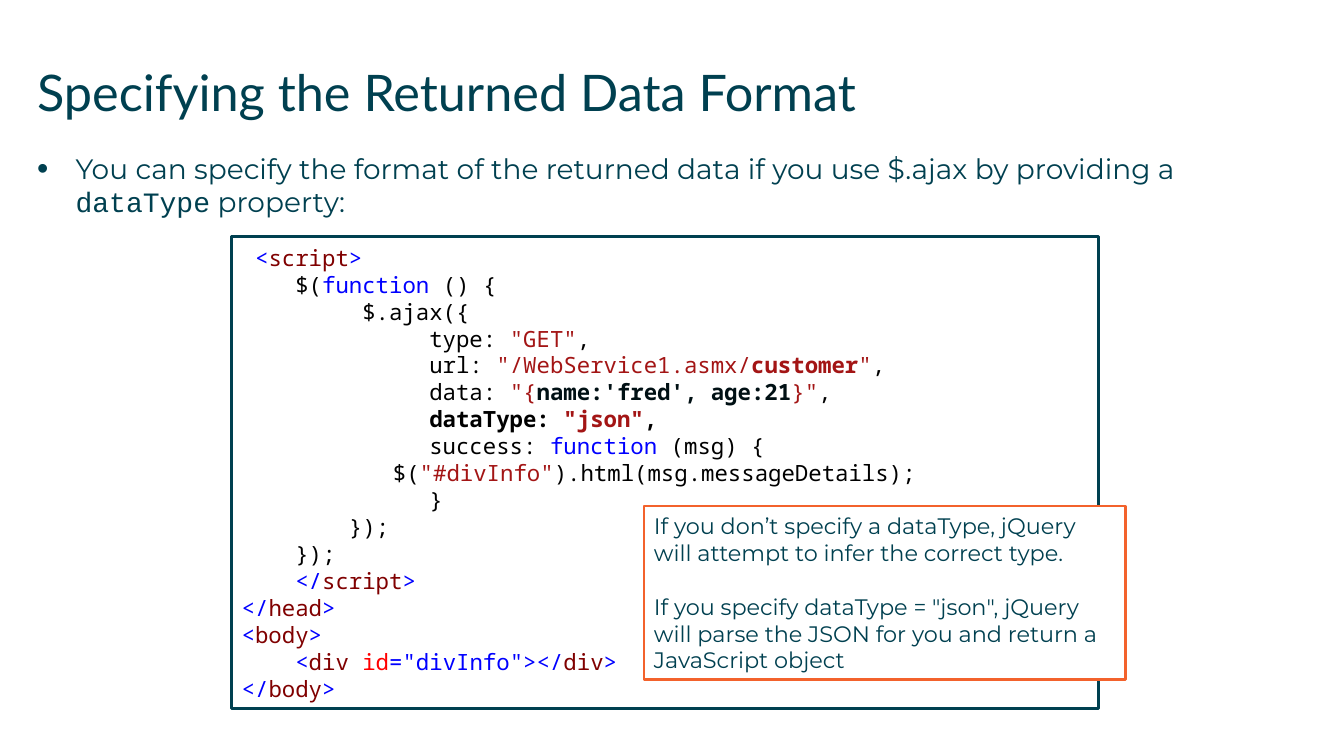
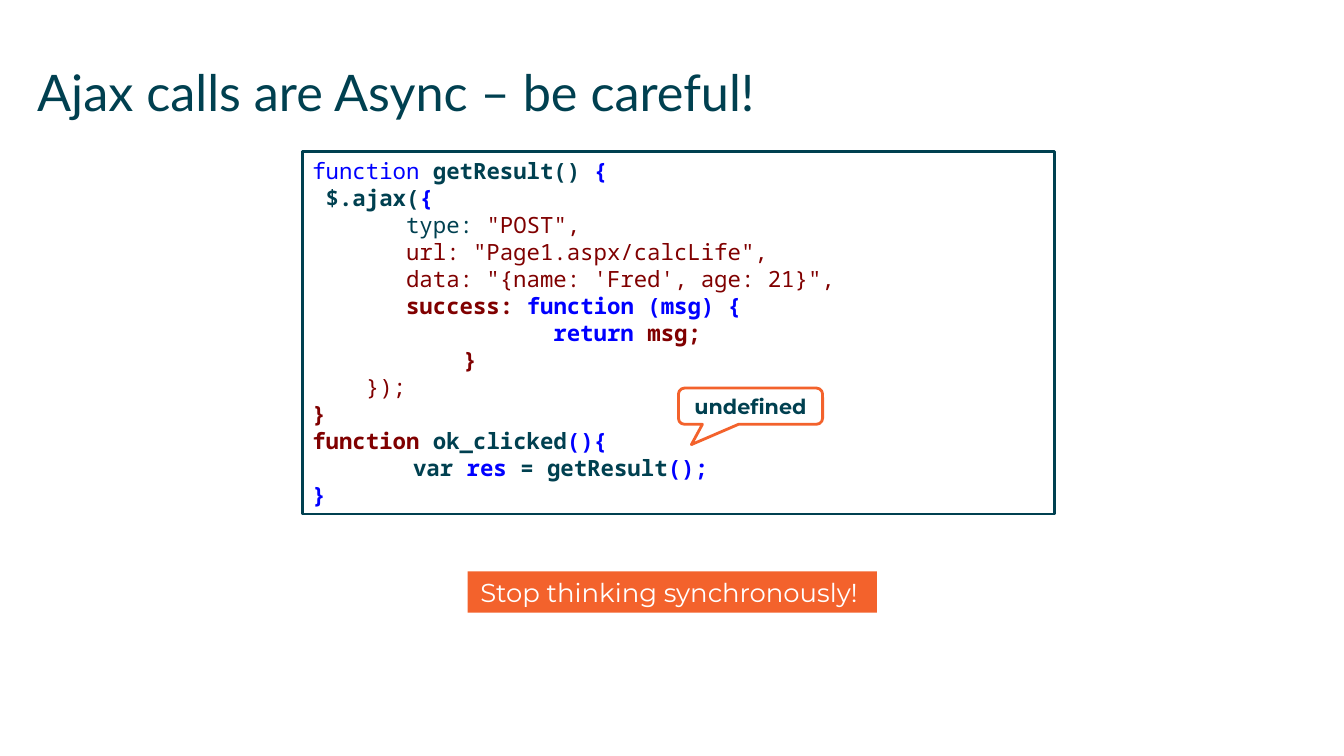
from dataclasses import dataclass, field

from lxml import etree
from pptx import Presentation
from pptx import util as u
from pptx.dml import color
from pptx.enum import shapes, text
from pptx.oxml import ns


@dataclass
class Theme:
    colours: dict = field(default_factory=lambda: {
        "teal": "004050", "orange": "F3622C", "white": "FFFFFF", "black": "000000",
        "blue": "0000FF", "maroon": "800000", "string": "A31515", "red": "FF0000",
        "ink": "001014"})
    sizes: dict = field(default_factory=lambda: {
        "title": 36, "body": 20, "code": 16, "note": 16, "callout": 14.8, "band": 18.5})
    fonts: dict = field(default_factory=lambda: {
        "title": "Lato", "body": "Montserrat", "code": "Noto Sans Mono",
        "note": "Montserrat", "callout": "Montserrat", "band": "Montserrat",
        "courier": "Courier New"})

    def colour(self, name):
        return color.RGBColor.from_string(self.colours[name])


def apply(target, values):
    for name, value in values.items():
        setattr(target, name, value)


def place(shape, box):
    apply(shape, dict(zip(("left", "top", "width", "height"), map(u.Pt, box))))


class Deck:
    LEFT = {"alignment": text.PP_ALIGN.LEFT, "space_before": u.Pt(0)}
    CENTRE = {"alignment": text.PP_ALIGN.CENTER, "space_before": u.Pt(0)}
    CODE = {**LEFT, "line_spacing": u.Pt(19.25)}
    PLACEHOLDER = {"margin_left": 0, "margin_top": 0, "margin_right": 0, "margin_bottom": 0,
                   "word_wrap": True, "auto_size": text.MSO_AUTO_SIZE.NONE,
                   "vertical_anchor": text.MSO_ANCHOR.TOP}

    def __init__(self, theme):
        self.theme = theme
        self.presentation = Presentation()
        apply(self.presentation, {"slide_width": u.Pt(960), "slide_height": u.Pt(540)})
        self.slide = None

    def new_slide(self, layout, title):
        self.slide = self.presentation.slides.add_slide(self.presentation.slide_layouts[layout])
        shape = self.slide.shapes.title
        place(shape, (26.6, 44, 907, 63.4))
        apply(shape.text_frame, self.PLACEHOLDER)
        self.add_lines(shape.text_frame, "title", [[("teal", title)]], self.LEFT)

    def add_lines(self, frame, role, lines, layout):
        for index, runs in enumerate(lines):
            paragraph = frame.paragraphs[0] if index == 0 else frame.add_paragraph()
            apply(paragraph, layout)
            for style, words in runs:
                colour, *extras = style.split()
                run = paragraph.add_run()
                run.text = words
                apply(run.font, {
                    "name": self.theme.fonts["courier" if "courier" in extras else role],
                    "size": u.Pt(self.theme.sizes[role]),
                    "bold": "bold" in extras})
                run.font.color.rgb = self.theme.colour(colour)

    def bullets(self, box, lines):
        shape = self.slide.placeholders[1]
        place(shape, box)
        frame = shape.text_frame
        apply(frame, self.PLACEHOLDER)
        self.add_lines(frame, "body", lines, {**self.LEFT, "space_after": u.Pt(6.5)})
        for paragraph in frame.paragraphs:
            properties = paragraph._p.get_or_add_pPr()
            properties.set("marL", str(u.Pt(27.4)))
            properties.set("indent", str(-u.Pt(27.4)))
            etree.SubElement(properties, ns.qn("a:buSzPct")).set("val", "115000")
            etree.SubElement(properties, ns.qn("a:buChar")).set("char", "•")

    def panel(self, box, role, lines, layout, fill="white", line="orange",
              kind=shapes.MSO_SHAPE.RECTANGLE, wrap=True):
        shape = self.slide.shapes.add_shape(kind, *map(u.Pt, box))
        shape.shadow.inherit = False
        shape.fill.solid()
        shape.fill.fore_color.rgb = self.theme.colour(fill)
        if line:
            shape.line.color.rgb = self.theme.colour(line)
            shape.line.width = u.Pt(2)
        else:
            shape.line.fill.background()
        apply(shape.text_frame, {"word_wrap": wrap, "vertical_anchor": text.MSO_ANCHOR.MIDDLE})
        self.add_lines(shape.text_frame, role, lines, layout)
        return shape

    def code(self, box, lines):
        return self.panel(box, "code", lines, self.CODE, line="teal")

    def note(self, box, sentences):
        shape = self.panel(box, "note", [[("teal", words)] for words in sentences], self.LEFT)
        for paragraph in shape.text_frame.paragraphs[1:]:
            paragraph.space_before = u.Pt(19.5)

    def callout(self, box, words, adjustments):
        shape = self.panel(box, "callout", [[("teal bold", words)]], self.CENTRE,
                           kind=shapes.MSO_SHAPE.ROUNDED_RECTANGULAR_CALLOUT)
        for index, value in enumerate(adjustments):
            shape.adjustments[index] = value

    def band(self, box, words):
        self.panel(box, "band", [[("white", words)]], self.CENTRE,
                   fill="orange", line=None, wrap=False)


def tag(opening, name):
    return [("blue", opening), ("maroon", name), ("blue", ">")]


def data_format_slide(deck):
    deck.new_slide(1, "Specifying the Returned Data Format")
    deck.bullets((26.6, 108, 906.5, 51.8), [[
        ("teal", "You can specify the format of the returned data if you use $.ajax by providing a "),
        ("teal courier", "dataType"),
        ("teal", " property:")]])
    deck.code((165.6, 169.2, 619.2, 337), [
        [("black", " "), *tag("<", "script")],
        [("black", "    $("), ("blue", "function"), ("black", " () {")],
        [("black", "         $.ajax({")],
        [("black", "              type: "), ("string", '"GET"'), ("black", ",")],
        [("black", "              url: "), ("string", '"/WebService1.asmx/'),
         ("string bold", "customer"), ("string", '"'), ("black", ",")],
        [("black", "              data: "), ("string", '"{'),
         ("ink bold", "name:'fred', age:21"), ("string", '}"'), ("black", ",")],
        [("black bold", "              dataType: "), ("string bold", '"json"'),
         ("black bold", ",")],
        [("black", "              success: "), ("blue", "function"), ("black", " (msg) {")],
        [("black", "\t\t\t$("), ("string", '"#divInfo"'),
         ("black", ").html(msg.messageDetails);")],
        [("black", "              }")],
        [("black", "        });")],
        [("black", "    });")],
        [("black", "    "), *tag("</", "script")],
        tag("</", "head"),
        tag("<", "body"),
        [("black", "    "), ("blue", "<"), ("maroon", "div"), ("black", " "), ("red", "id"),
         ("blue", '="divInfo">'), *tag("</", "div")],
        tag("</", "body")])
    deck.note((460, 361.4, 344.2, 123.8), [
        "If you don’t specify a dataType, jQuery will attempt to infer the correct type.",
        'If you specify dataType = "json", jQuery will parse the JSON for you '
        "and return a JavaScript object"])


def async_slide(deck):
    deck.new_slide(5, "Ajax calls are Async – be careful!")
    deck.code((216, 108, 537, 259.2), [
        [("blue", "function "), ("teal bold", "getResult() "), ("blue bold", "{")],
        [("teal bold", " $.ajax("), ("blue bold", "{")],
        [("teal", "       type: "), ("maroon", '"POST",')],
        [("maroon", '       url: "Page1.aspx/calcLife",')],
        [("maroon", "       data: \"{name: 'Fred', age: 21}\",")],
        [("maroon bold", "       success: "), ("blue bold", "function (msg) {")],
        [("blue bold", "                  return "), ("maroon bold", "msg;")],
        [("maroon bold", "       \t\t}")],
        [("maroon", "    });")],
        [("maroon bold", "}")],
        [("maroon bold", "function "), ("teal bold", "ok_clicked"), ("blue bold", "(){")],
        [("teal bold", "\t\tvar "), ("blue bold", "res"), ("teal bold", " = getResult"),
         ("blue bold", "();")],
        [("blue bold", "}")]])
    deck.callout((484.6, 277.2, 103, 25.9), "undefined", (-0.41, 1.06, 0.17))
    deck.band((334, 408.2, 292.3, 29.5), "Stop thinking synchronously! ")


def main():
    deck = Deck(Theme())
    data_format_slide(deck)
    async_slide(deck)
    deck.presentation.save("out.pptx")


if __name__ == "__main__":
    main()
